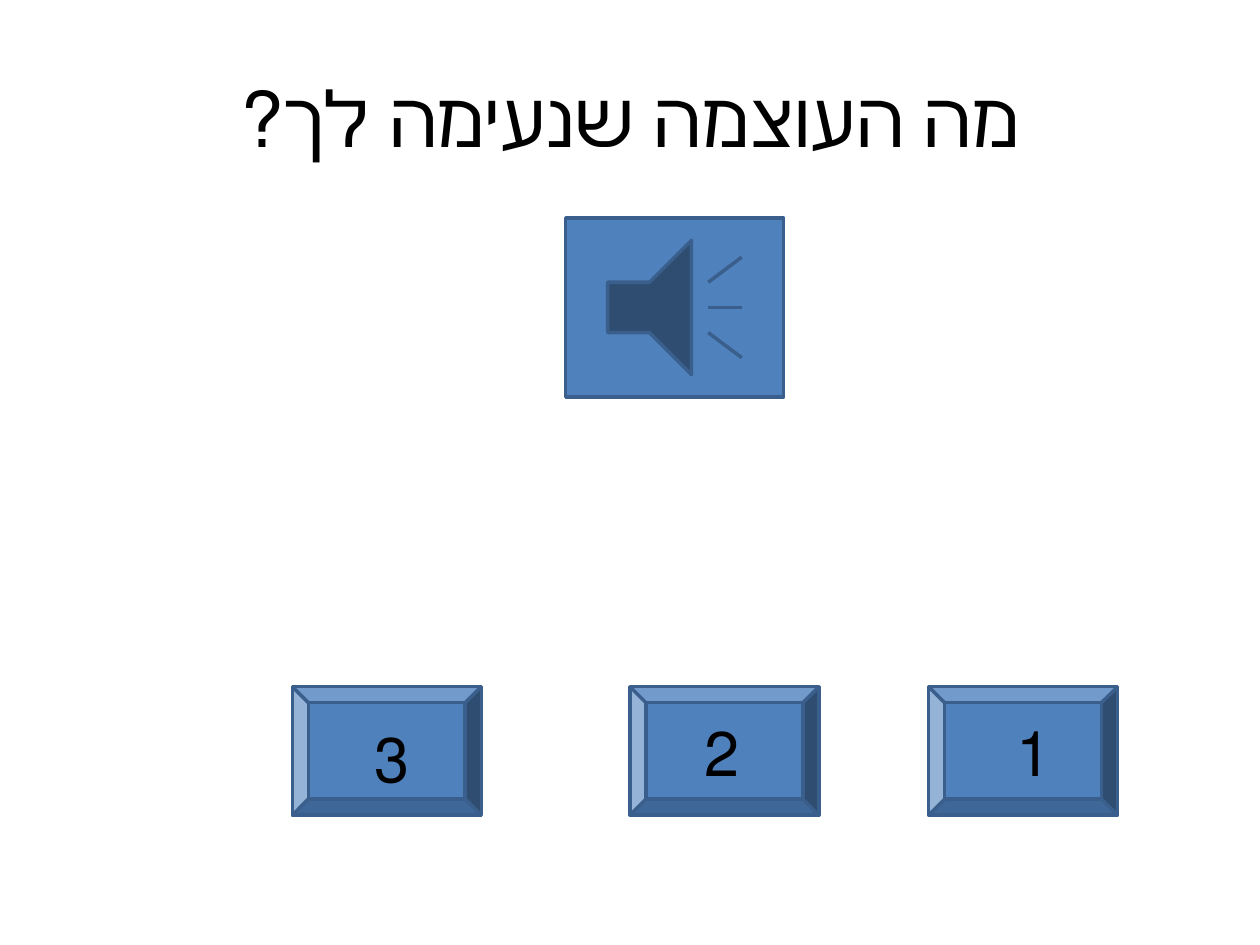
from pptx import Presentation
from pptx.dml.color import RGBColor
from pptx.enum.shapes import MSO_SHAPE as SHAPE
from pptx.enum.text import MSO_ANCHOR as ANCHOR, PP_ALIGN as ALIGN
from pptx.util import Inches, Pt

BLUE, EDGE, BLACK = "4F81BD", "3A5F8C", "000000"


def color(hex_code):
    return RGBColor.from_string(hex_code)


def add_button(slide, kind, box):
    sp = slide.shapes.add_shape(kind, *map(Inches, box))
    sp.shadow.inherit = False
    sp.fill.solid()
    sp.fill.fore_color.rgb = color(BLUE)
    sp.line.color.rgb = color(EDGE)
    sp.line.width = Pt(2)


def add_rtl_text(slide, text, box, size, align, anchor=ANCHOR.TOP):
    tf = slide.shapes.add_textbox(*map(Inches, box)).text_frame
    tf.word_wrap = True
    tf.vertical_anchor = anchor
    p = tf.paragraphs[0]
    p.text = text
    p.alignment = align
    p._p.get_or_add_pPr().set("rtl", "1")
    font = p.runs[0].font
    font.name = "Calibri"
    font.size = Pt(size)
    font.color.rgb = color(BLACK)
    p.runs[0]._r.get_or_add_rPr().set("lang", "he-IL")


def add_choice(slide, label, box, dx, dy):
    """Bevel button with its number offset inside the box."""
    left, top, _, _ = box
    add_button(slide, SHAPE.BEVEL, box)
    add_rtl_text(slide, label, (left + dx, top + dy, 0.55, 0.71), 36, ALIGN.RIGHT)


prs = Presentation()
prs.slide_width, prs.slide_height = Inches(10), Inches(7.5)
s = prs.slides.add_slide(prs.slide_layouts[6])

# Question
add_rtl_text(s, "מה העוצמה שנעימה לך?", (0.5, 0.3, 9, 1.25), 44,
             ALIGN.CENTER, ANCHOR.MIDDLE)

# Sound button
add_button(s, SHAPE.ACTION_BUTTON_SOUND, (4.49, 1.73, 1.73, 1.42))

# Volume choices, right to left
for label, left, dx, dy in (("1", 7.37, 0.52, 0.16),
                            ("2", 5, 0.42, 0.16),
                            ("3", 2.32, 0.48, 0.21)):
    add_choice(s, label, (left, 5.45, 1.5, 1.02), dx, dy)

prs.save("out.pptx")
